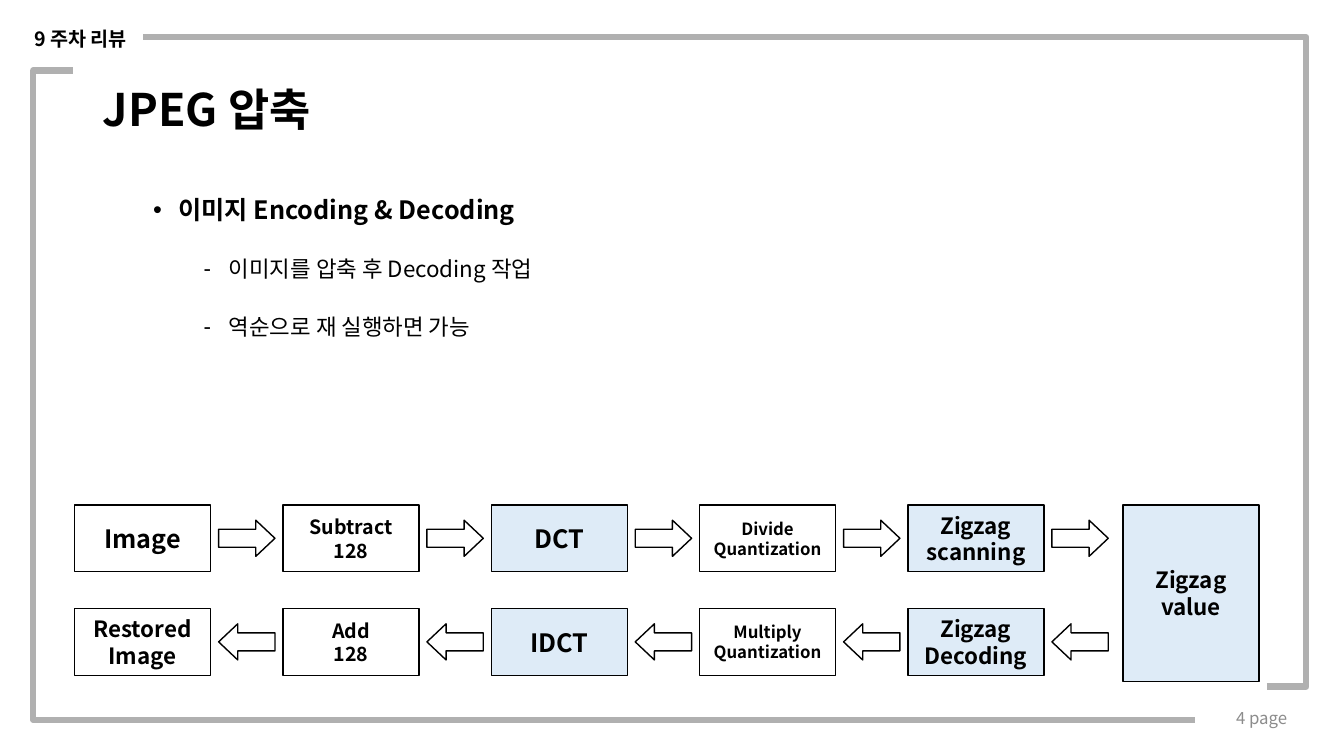
from lxml import etree
from pptx import Presentation
from pptx.dml.color import RGBColor
from pptx.enum.shapes import MSO_SHAPE
from pptx.enum.text import MSO_ANCHOR, PP_ALIGN
from pptx.oxml.ns import qn
from pptx.util import Cm, Pt

RECTANGLE = MSO_SHAPE.RECTANGLE
RIGHT_ARROW = MSO_SHAPE.RIGHT_ARROW
LEFT_ARROW = MSO_SHAPE.LEFT_ARROW
LEFT, CENTER, RIGHT = PP_ALIGN.LEFT, PP_ALIGN.CENTER, PP_ALIGN.RIGHT
TOP, MIDDLE = MSO_ANCHOR.TOP, MSO_ANCHOR.MIDDLE

FONT = "Noto Sans CJK KR"
BLACK, WHITE, PALE_BLUE = "000000", "FFFFFF", "DEEBF7"
FRAME_GRAY, PAGE_GRAY = "B0B0B0", "8C8C8C"

SECTION = "9 주차 리뷰"
TITLE = "JPEG 압축"
PAGE_NUMBER = "4 page"
BULLETS = [
    ("•", "이미지 Encoding & Decoding", 18, True, 1.91, 0),
    ("-", "이미지를 압축 후 Decoding 작업", 16, False, 3.18, 24),
    ("-", "역순으로 재 실행하면 가능", 16, False, 3.18, 24),
]
ENCODING = [
    ("Image", 18, WHITE),
    ("Subtract\v128", 14, WHITE),
    ("DCT", 18, PALE_BLUE),
    ("Divide\nQuantization", 12, WHITE),
    ("Zigzag\vscanning", 16, PALE_BLUE),
]
DECODING = [
    ("Restored\nImage", 16, WHITE),
    ("Add\v128", 14, WHITE),
    ("IDCT", 18, PALE_BLUE),
    ("Multiply\nQuantization", 12, WHITE),
    ("Zigzag\vDecoding", 16, PALE_BLUE),
]
FLOWS = [(12.73, ENCODING, RIGHT_ARROW), (15.34, DECODING, LEFT_ARROW)]
FRAMES = [
    [(1.83, 1.78), (0.84, 1.78), (0.84, 18.26 - 0.12), (30.12, 18.14)],
    [(31.93, 17.3), (32.92, 17.3), (32.92, 0.94), (3.61, 0.94)],
]

FLOW_LEFT, STEP_PITCH = 1.88, 5.25
STEP_WIDTH, STEP_HEIGHT = 3.43, 1.68
ARROW_WIDTH, ARROW_HEIGHT = 1.42, 0.91
ARROW_LEFT, ARROW_TOP = 3.63, 0.38
VALUE_LEFT, VALUE_HEIGHT = 28.3, 4.45
BULLET_INDENT = 0.64


def color(value):
    return RGBColor.from_string(value)


def format_text(frame, size, ink=BLACK, bold=True, align=CENTER, anchor=MIDDLE):
    frame.vertical_anchor = anchor
    for para in frame.paragraphs:
        para.alignment = align
        for span in para.runs:
            format_span(span, size, ink, bold)


def format_span(span, size, ink, bold):
    span.font.size = Pt(size)
    span.font.bold = bold
    span.font.color.rgb = color(ink)
    span.font.name = FONT
    properties = span._r.get_or_add_rPr()
    etree.SubElement(properties, qn("a:ea"), typeface=FONT)


def add_text(page, text, place, size, wrap=True, **style):
    box = page.shapes.add_textbox(*map(Cm, place))
    box.text_frame.word_wrap = wrap
    box.text_frame.text = text
    format_text(box.text_frame, size, **style)
    return box


def add_block(page, kind, place, fill):
    block = page.shapes.add_shape(kind, *map(Cm, place))
    block.shadow.inherit = False
    block.fill.solid()
    block.fill.fore_color.rgb = color(fill)
    block.line.color.rgb = color(BLACK)
    block.line.width = Pt(1)
    return block


def add_step(page, text, size, fill, left, top, height=STEP_HEIGHT):
    step = add_block(page, RECTANGLE, (left, top, STEP_WIDTH, height), fill)
    step.text_frame.text = text
    format_text(step.text_frame, size)


def add_frame(page, points):
    corners = [(Cm(x), Cm(y)) for x, y in points]
    builder = page.shapes.build_freeform(*corners[0])
    builder.add_line_segments(corners[1:], close=False)
    frame = builder.convert_to_shape()
    frame.shadow.inherit = False
    frame.fill.background()
    frame.line.color.rgb = color(FRAME_GRAY)
    frame.line.width = Pt(4.5)


def add_bullets(page):
    box = page.shapes.add_textbox(Cm(2.34), Cm(4.85), Cm(29.21), Cm(12.77))
    frame = box.text_frame
    frame.word_wrap = True
    for index, (mark, text, size, bold, margin, gap) in enumerate(BULLETS):
        para = frame.add_paragraph() if index else frame.paragraphs[0]
        para.text = text
        para.line_spacing = 0.9
        para.space_before = Pt(gap)
        format_span(para.runs[0], size, BLACK, bold)
        properties = para._p.get_or_add_pPr()
        properties.set("marL", str(Cm(margin)))
        properties.set("indent", str(-Cm(BULLET_INDENT)))
        etree.SubElement(properties, qn("a:buFont"), typeface="Arial")
        etree.SubElement(properties, qn("a:buChar"), char=mark)


def add_flow(page, top, steps, arrow_kind):
    for index, (text, size, fill) in enumerate(steps):
        left = FLOW_LEFT + index * STEP_PITCH
        add_step(page, text, size, fill, left, top)
        place = (left + ARROW_LEFT, top + ARROW_TOP, ARROW_WIDTH, ARROW_HEIGHT)
        arrow = add_block(page, arrow_kind, place, WHITE)
        arrow.adjustments[1] = 0.53


def main():
    deck = Presentation()
    deck.slide_width, deck.slide_height = Cm(33.87), Cm(19.05)
    page = deck.slides.add_slide(deck.slide_layouts[6])
    add_bullets(page)
    add_text(page, PAGE_NUMBER, (25.07, 17.58, 7.62, 1.02), 12,
             ink=PAGE_GRAY, bold=False, align=RIGHT)
    title = add_text(page, TITLE, (2.34, 1.57, 29.21, 2.49), 32, align=LEFT)
    title.text_frame.paragraphs[0].line_spacing = 0.9
    for points in FRAMES:
        add_frame(page, points)
    for top, steps, arrow_kind in FLOWS:
        add_flow(page, top, steps, arrow_kind)
    add_step(page, "Zigzag\vvalue", 16, PALE_BLUE, VALUE_LEFT, FLOWS[0][0], VALUE_HEIGHT)
    add_text(page, SECTION, (0.46, 0.56, 3.15, 0.86), 14, wrap=False, anchor=TOP)
    deck.save("out.pptx")


if __name__ == "__main__":
    main()
